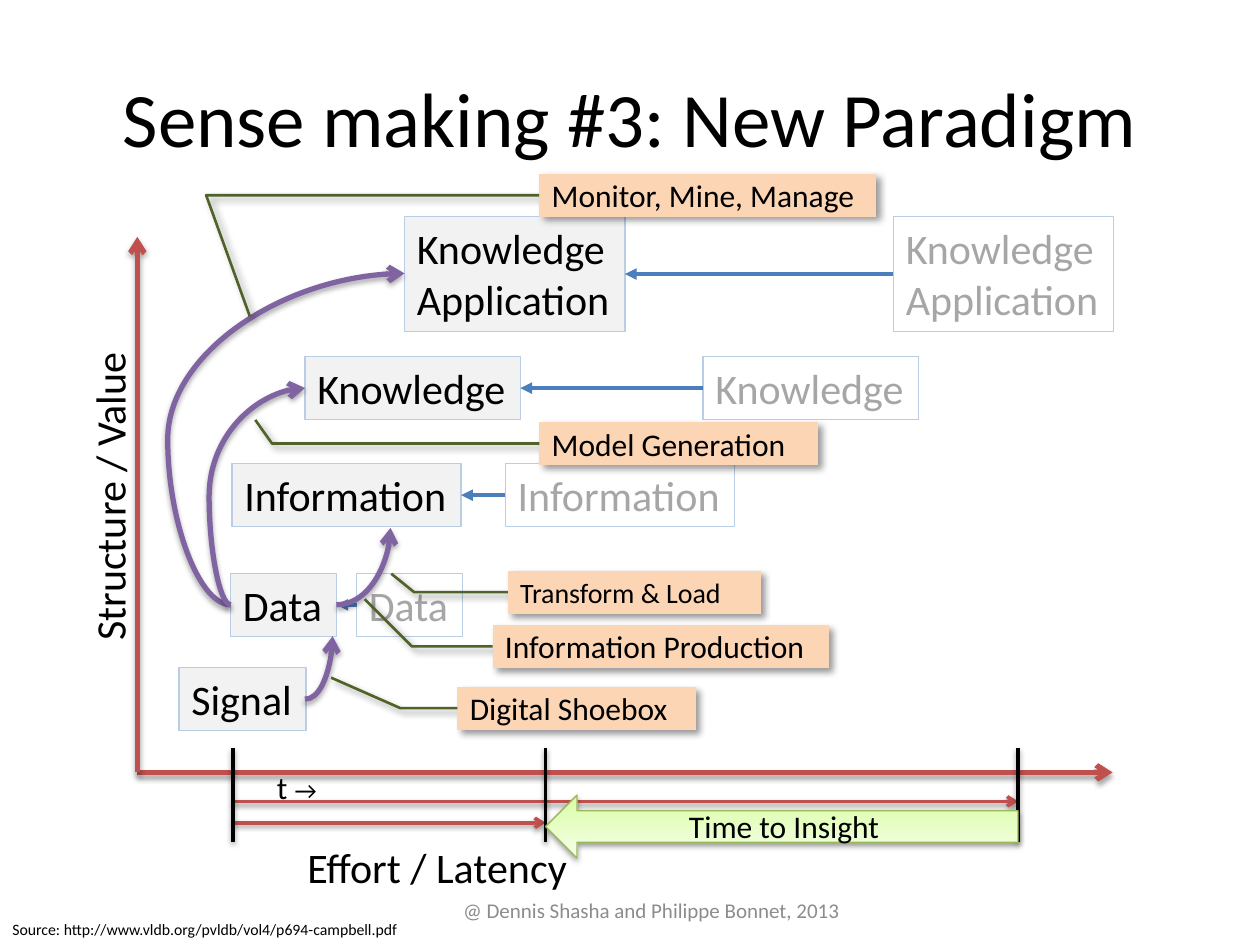
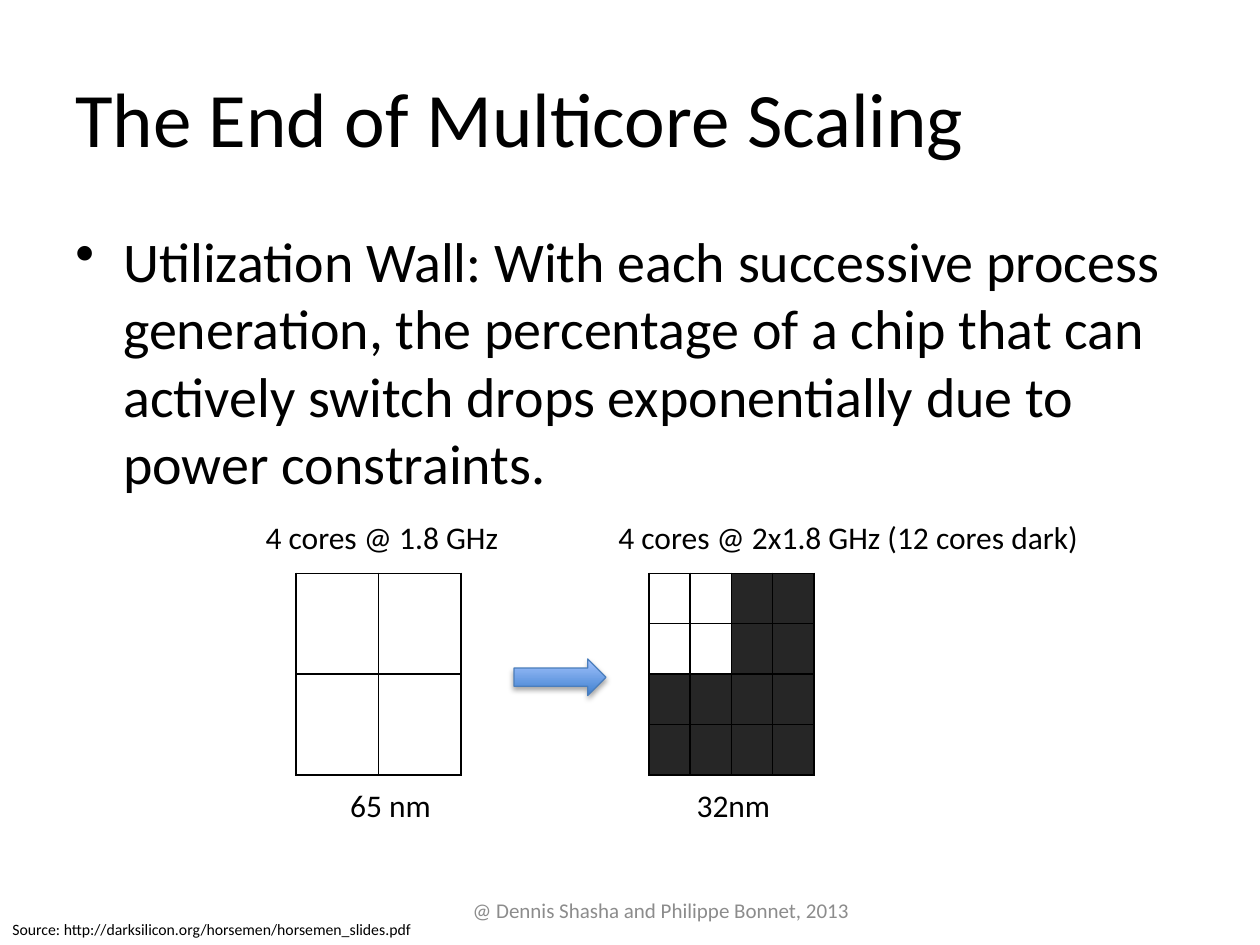
from dataclasses import dataclass
from typing import Optional

from lxml import etree
from pptx import Presentation
from pptx.dml.color import RGBColor
from pptx.enum.shapes import MSO_CONNECTOR, MSO_SHAPE
from pptx.enum.text import MSO_ANCHOR, PP_ALIGN
from pptx.oxml.ns import qn
from pptx.util import Emu, Inches, Pt

STRAIGHT, CURVE = MSO_CONNECTOR.STRAIGHT, MSO_CONNECTOR.CURVE
RECT, ARROW = MSO_SHAPE.RECTANGLE, MSO_SHAPE.RIGHT_ARROW
CALLOUT = MSO_SHAPE.LINE_CALLOUT_2_NO_BORDER
LEFT, CENTER = PP_ALIGN.LEFT, PP_ALIGN.CENTER
TOP, MIDDLE = MSO_ANCHOR.TOP, MSO_ANCHOR.MIDDLE

FONT = "Calibri"
WIDE, HIGH = Inches(10), Inches(7.5)
COL, ROW = WIDE / 100, HIGH / 75  # grid of 100 columns by 75 rows
COLORS = {
    "black": "000000", "grey": "8C8C8C", "faint": "A6A6A6", "pale": "F2F2F2",
    "edge": "B9CDE5", "blue": "4B7EBC", "red": "C0504D", "purple": "8064A2",
    "peach": "FCD5B5", "olive": "4F6228", "green": "98B955", "dark": "262626",
    "lime": "DAFDA7", "mint": "F5FFE7", "deep": "3F80CE", "sky": "A4C4FF",
}


@dataclass(frozen=True)
class Box:
    col: float
    row: float
    cols: float
    rows: float

    def emu(self) -> tuple:
        return (Emu(round(self.col * COL)), Emu(round(self.row * ROW)),
                Emu(round(self.cols * COL)), Emu(round(self.rows * ROW)))


@dataclass(frozen=True)
class Shade:
    alpha: int
    blur: float
    dist: float
    angle: int


@dataclass(frozen=True)
class Level:
    text: str
    left: float
    top: float
    cols: float
    rows: float = 5
    ghost: Optional[float] = None


@dataclass(frozen=True)
class Curve:
    start: tuple
    end: tuple
    bulge: Optional[int] = None


@dataclass(frozen=True)
class Note:
    """A callout; bend and tip are shares of its own size."""
    text: str
    col: float
    row: float
    cols: float
    bend: float
    tip: tuple
    size: int = 18


@dataclass(frozen=True)
class Label:
    text: str
    box: Box
    size: int = 18
    turn: int = 0


SOFT = Shade(35, 3.1, 1.8, 90)
THIN = Shade(38, 3.1, 1.6, 90)
DROP = Shade(40, 4, 3, 45)

LEVELS = [
    Level("Signal", 14.2, 53, 10.1),
    Level("Data", 18.3, 45.5, 8.4, ghost=28.3),
    Level("Information", 18.4, 36.8, 18.2, ghost=40.1),
    Level("Knowledge", 24.2, 28.3, 17.1, ghost=55.8),
    Level("Knowledge\nApplication", 32.1, 17.2, 17.5, 9.1, 70.9),
]
CURVES = [
    Curve((24.2, 55.5), (26.4, 50.5)),
    Curve((26.7, 48), (31, 41.9)),
    Curve((18.3, 48), (32.1, 21.7), -36200),
    Curve((18.3, 48), (24.2, 30.8), -29000),
]
NOTES = [
    Note("Digital Shoebox", 36.3, 54.5, 18.9, -0.24, (-0.53, -0.21)),
    Note("Information Production", 39.1, 49.6, 26.7, -0.24, (-0.38, -0.6)),
    Note("Monitor, Mine, Manage", 42.8, 13.8, 26.7, -0.99, (-0.86, 3.33)),
    Note("Transform & Load", 40.3, 45.3, 20.1, -0.37, (-0.46, 0.07), 16),
    Note("Model Generation", 42.8, 33.5, 22.1, -0.96, (-1.02, -0.05)),
]
AXES = [
    Label("Structure / Value", Box(-3.9, 36.8, 25.1, 5), 24, 270),
    Label("Effort / Latency", Box(23.4, 66.3, 22.9, 5), 24),
]
CAPTIONS = [
    Label("65 nm", Box(26.8, 61.9, 8.5, 4)),
    Label("32nm", Box(54.3, 61.9, 7.9, 4)),
    Label("4 cores @ 1.8 GHz", Box(20.1, 40.6, 20.7, 4)),
    Label("4 cores @ 2x1.8 GHz (12 cores dark)", Box(48.1, 40.6, 39, 4)),
]


def tint(name: str) -> RGBColor:
    return RGBColor.from_string(COLORS[name])


def child(parent, tag: str, **attrs):
    return etree.SubElement(parent, qn(tag), {k: str(v) for k, v in attrs.items()})


def cast(shape, shade: Optional[Shade]) -> None:
    """Replace the theme's shadow with the given one, or with none."""
    effects = child(shape.element.spPr, "a:effectLst")
    if shade:
        outer = child(effects, "a:outerShdw", blurRad=Pt(shade.blur), dist=Pt(shade.dist),
                      dir=shade.angle * 60000, rotWithShape=0)
        black = child(outer, "a:srgbClr", val=COLORS["black"])
        child(black, "a:alpha", val=shade.alpha * 1000)


def write(shape, text: str, size: int, color: str = "black", align=LEFT,
          anchor=TOP, wrap: bool = False):
    frame = shape.text_frame
    frame.word_wrap = wrap
    frame.vertical_anchor = anchor
    frame.text = text
    for para in frame.paragraphs:
        para.alignment = align
        para.font.name, para.font.size = FONT, Pt(size)
        para.font.color.rgb = tint(color)
    return frame.paragraphs[0]


def put_text(slide, text: str, box: Box, size: int, **style):
    return write(slide.shapes.add_textbox(*box.emu()), text, size, **style)


def put_label(slide, label: Label) -> None:
    shape = slide.shapes.add_textbox(*label.box.emu())
    shape.rotation = label.turn
    write(shape, label.text, label.size)


def put_shape(slide, kind, box: Box, edge: str, width: float, fill: tuple = (),
              shade: Optional[Shade] = None):
    """Fill is no colour, one colour, or two for a gradient from the bottom up."""
    shape = slide.shapes.add_shape(kind, *box.emu())
    if len(fill) == 2:
        shape.fill.gradient()
        shape.fill.gradient_angle = 90
        for stop, name in zip(shape.fill.gradient_stops, fill):
            stop.color.rgb = tint(name)
    elif fill:
        shape.fill.solid()
        shape.fill.fore_color.rgb = tint(fill[0])
    else:
        shape.fill.background()
    shape.line.color.rgb = tint(edge)
    shape.line.width = Pt(width)
    cast(shape, shade)
    return shape


def put_line(slide, start: tuple, end: tuple, color: str, width: float,
             head: Optional[str] = None, shade: Optional[Shade] = None, kind=STRAIGHT):
    ends = (Emu(round(v * unit)) for v, unit in zip(start + end, (COL, ROW) * 2))
    line = slide.shapes.add_connector(kind, *ends)
    line.line.color.rgb = tint(color)
    line.line.width = Pt(width)
    if head:
        child(line.line._get_or_add_ln(), "a:tailEnd", type=head)
    cast(line, shade)
    return line


def put_curve(slide, curve: Curve) -> None:
    line = put_line(slide, curve.start, curve.end, "purple", 3, "arrow", SOFT, CURVE)
    props = line.element.spPr
    shape = props.find(qn("a:prstGeom"))
    if curve.bulge is None:
        shape.set("prst", "curvedConnector2")
        return
    guides = shape.find(qn("a:avLst"))
    child(guides, "a:gd", name="adj1", fmla=f"val {curve.bulge}")
    frame = props.find(qn("a:xfrm"))  # a half turn and a flip start it leftwards
    frame.attrib.pop("flipV")
    frame.set("rot", "10800000")
    frame.set("flipH", "1")


def put_level(slide, level: Level) -> None:
    spots = [(level.left, ("pale",), "black")]
    if level.ghost is not None:
        spots.insert(0, (level.ghost, (), "faint"))
    for left, fill, color in spots:
        box = Box(left, level.top, level.cols, level.rows)
        write(put_shape(slide, RECT, box, "edge", 0.75, fill), level.text, 24, color)
    if level.ghost is not None:
        mid = level.top + level.rows / 2
        put_line(slide, (level.ghost, mid), (level.left + level.cols, mid),
                 "blue", 2.25, "triangle")


def put_note(slide, note: Note) -> None:
    box = Box(note.col, note.row, note.cols, 3.4)
    shape = put_shape(slide, CALLOUT, box, "olive", 1.5, ("peach",), DROP)
    tip_x, tip_y = note.tip
    for i, value in enumerate((0.5, 0, 0.5, note.bend, tip_y, tip_x)):
        shape.adjustments[i] = value
    write(shape, note.text, note.size, anchor=MIDDLE, wrap=True)


def put_chip(slide, box: Box, count: int, live: int) -> None:
    """A square of cores, lit in the live corner and dark elsewhere."""
    table = slide.shapes.add_table(count, count, *box.emu()).table
    table.first_row = table.horz_banding = False
    for r in range(count):
        for c in range(count):
            cell = table.cell(r, c)
            cell.margin_left = cell.margin_right = cell.margin_top = cell.margin_bottom = 0
            props = cell._tc.get_or_add_tcPr()
            for side in ("lnL", "lnR", "lnT", "lnB"):
                line = child(props, f"a:{side}", w=Pt(1))
                child(child(line, "a:solidFill"), "a:srgbClr", val=COLORS["black"])
            if max(r, c) < live:
                cell.fill.background()
            else:
                cell.fill.solid()
                cell.fill.fore_color.rgb = tint("dark")


def add_slide(deck, title: str, align, source: str, foot: float):
    slide = deck.slides.add_slide(deck.slide_layouts[6])
    put_text(slide, title, Box(5, 3, 90, 12.5), 44, align=align, anchor=MIDDLE, wrap=True)
    put_text(slide, "@ Dennis Shasha and Philippe Bonnet, 2013", Box(34.2, 70.4, foot, 3.6),
             12, color="grey", align=CENTER, anchor=MIDDLE, wrap=True)
    put_text(slide, f"Source: http://{source}", Box(0, 72.5, 40.8, 2.5), 9, wrap=True)
    return slide


def draw_sense(deck) -> None:
    slide = add_slide(deck, "Sense making #3: New Paradigm", CENTER,
                      "www.vldb.org/pvldb/vol4/p694-campbell.pdf", 35)
    for end in ((88.3, 61.3), (10.9, 18.8)):
        put_line(slide, (10.9, 61.3), end, "red", 3, "arrow", SOFT)
    for label in AXES:
        put_label(slide, label)
    for level in LEVELS:
        put_level(slide, level)

    begin, soon, late = 18.5, 43.3, 80.8
    for end, row in ((late, 63.6), (soon, 65.3)):
        put_line(slide, (begin, row), (end, row), "red", 2, "arrow", THIN)
    for col in (begin, soon, late):
        put_line(slide, (col, 59.4), (col, 66.8), "black", 2, shade=THIN)
    para = put_text(slide, "t ", Box(21, 60.5, 5.4, 4), 18)
    run = para.add_run()
    run.text, run.font.size = "→", Pt(14)
    gain = put_shape(slide, ARROW, Box(soon, 63.1, late - soon, 5), "green", 0.75,
                     ("lime", "mint"), THIN)
    gain.rotation = 180
    put_label(slide, Label("Time to Insight", Box(53.7, 63.6, 18, 4)))

    for curve in CURVES:
        put_curve(slide, curve)
    for note in NOTES:
        put_note(slide, note)


def draw_cores(deck) -> None:
    slide = add_slide(deck, "The End of Multicore Scaling", LEFT,
                      "darksilicon.org/horsemen/horsemen_slides.pdf", 36.5)
    para = put_text(slide, "Utilization Wall: With each successive process generation, "
                    "the percentage of a chip that can actively switch drops "
                    "exponentially due to power constraints.",
                    Box(5, 17.5, 90, 49.5), 32, wrap=True)
    para.space_before = Pt(6.4)
    props = para._p.get_or_add_pPr()
    props.set("marL", str(Inches(0.38)))
    props.set("indent", str(-Inches(0.38)))
    bullet = etree.Element(qn("a:buChar"), char="•")
    props.find(qn("a:defRPr")).addprevious(bullet)

    for left, count in ((23.5, 2), (51.5, 4)):
        put_chip(slide, Box(left, 45.5, 13.1, 16), count, 2)
    put_shape(slide, ARROW, Box(40.8, 52.3, 7.3, 2.9), "blue", 0.75, ("deep", "sky"), SOFT)
    for label in CAPTIONS:
        put_label(slide, label)


def main() -> None:
    deck = Presentation()
    deck.slide_width, deck.slide_height = WIDE, HIGH
    draw_sense(deck)
    draw_cores(deck)
    deck.save("out.pptx")


if __name__ == "__main__":
    main()
